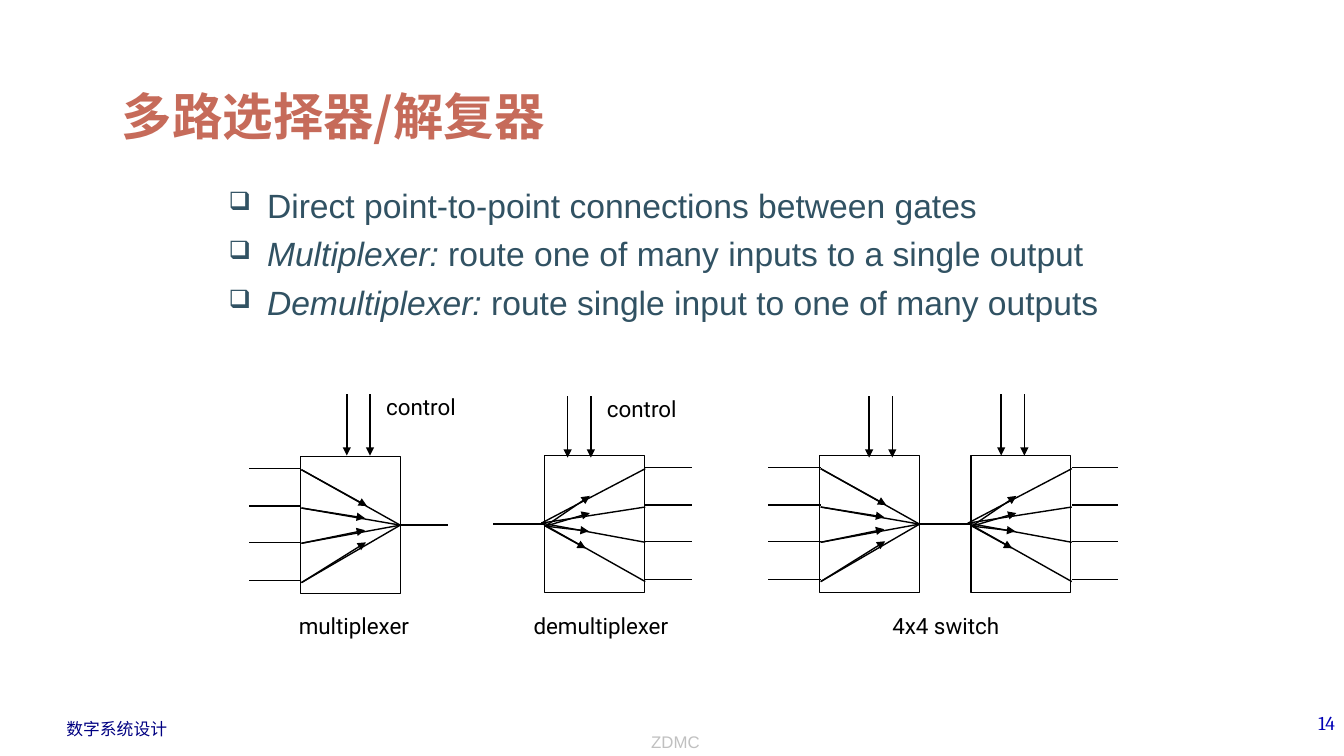
"""Build the slide on multiplexers and demultiplexers."""
import pptx
import pptx.dml.color
import pptx.enum.shapes
import pptx.enum.text
import pptx.oxml.ns
import pptx.oxml.xmlchemy
import pptx.util

Inches = pptx.util.Inches
Pt = pptx.util.Pt
RGB = pptx.dml.color.RGBColor.from_string
ALIGN = pptx.enum.text.PP_ALIGN
ANCHOR = pptx.enum.text.MSO_ANCHOR
qn = pptx.oxml.ns.qn
make = pptx.oxml.xmlchemy.OxmlElement
INK = {"title": "C66B5A", "body": "315263", "line": "000000",
       "foot": "000082", "page": "0000B6", "mark": "C0C0C0"}

deck = pptx.Presentation()
deck.slide_width = Inches(13.33)
deck.slide_height = Inches(7.5)
slide = deck.slides.add_slide(deck.slide_layouts[6])
shapes = slide.shapes


def write(text, place, size, face, ink, align=ALIGN.LEFT, wrap=True):
    """Add a text box with one paragraph and return its frame."""
    frame = shapes.add_textbox(*map(Inches, place)).text_frame
    frame.word_wrap = wrap
    para = frame.paragraphs[0]
    para.text = text
    para.alignment = align
    para.font.size = Pt(size)
    para.font.name = face
    para.font.color.rgb = RGB(INK[ink])
    return frame


def wire(x1, y1, x2, y2, arrow=False):
    """Add a thin straight line, with an arrowhead at its end if asked."""
    line = shapes.add_connector(pptx.enum.shapes.MSO_CONNECTOR.STRAIGHT,
                                *map(Inches, (x1, y1, x2, y2)))
    line.line.color.rgb = RGB(INK["line"])
    line.line.width = Pt(1)
    props = line._element.spPr
    if arrow:
        tip = make("a:tailEnd")
        tip.set("type", "triangle")
        props.find(qn("a:ln")).append(tip)
    props.append(make("a:effectLst"))
    return line


write("数字系统设计", (0.56, 7.08, 1.21, 0.3), 12, "Arial", "foot", wrap=False)
write("14", (10.56, 7, 2.78, 0.5), 14, "Cambria", "page", ALIGN.RIGHT)
mark = write("ZDMC", (3.45, 7, 6.5, 0.51), 12, "Arial", "mark", ALIGN.CENTER)
mark.vertical_anchor = ANCHOR.BOTTOM

title = write("多路选择器/解复器", (1.11, 0.42, 9.86, 1.07), 36,
              "Noto Sans CJK SC", "title")
title.vertical_anchor = ANCHOR.BOTTOM
head = title.paragraphs[0]
head.font.bold = True
east = make("a:ea")
east.set("typeface", "Noto Sans CJK SC")
head._p.pPr.find(qn("a:defRPr")).append(east)

points = [("", "Direct point-to-point connections between gates"),
          ("Multiplexer:", " route one of many inputs to a single output"),
          ("Demultiplexer:", " route single input to one of many outputs")]
body = shapes.add_textbox(*map(Inches, (2.17, 1.75, 9.22, 4.88))).text_frame
body.word_wrap = True
body.margin_top = Inches(0.08)
for i, (term, rest) in enumerate(points):
    para = body.paragraphs[0] if i == 0 else body.add_paragraph()
    if i:
        para.space_before = Pt(6)
    props = para._p.get_or_add_pPr()
    props.set("marL", str(Inches(0.38)))
    props.set("indent", str(-Inches(0.38)))
    tint = make("a:buClr")
    shade = make("a:srgbClr")
    shade.set("val", INK["body"])
    tint.append(shade)
    props.append(tint)
    for tag, key, val in [("a:buSzPct", "val", "75000"),
                          ("a:buChar", "char", "❑")]:
        item = make(tag)
        item.set(key, val)
        props.append(item)
    para.font.size = Pt(24)
    para.font.name = "Arial"
    para.font.color.rgb = RGB(INK["body"])
    if term:
        run = para.add_run()
        run.text = term
        run.font.italic = True
    para.add_run().text = rest

wide, high = 0.99, 1.36
ports = [0.12, 0.49, 0.85, 1.23]
fans = [0.13, 0.51, 0.86, 1.25]
merge = [(0.66, 0.49), (0.64, 0.61), (0.64, 0.73), (0.65, 0.85)]
split = [(0.45, 0.4), (0.45, 0.57), (0.44, 0.75), (0.41, 0.92)]
blocks = [("mux", 2.98, 4.53, 3.44, 3.91), ("demux", 5.4, 4.52, 5.63, 3.93),
          ("mux", 8.13, 4.52, 8.62, 3.93), ("demux", 9.63, 4.52, 9.93, 3.91)]
for kind, x, y, pin, top in blocks:
    box = shapes.add_shape(pptx.enum.shapes.MSO_SHAPE.RECTANGLE,
                           *map(Inches, (x, y, wide, high)))
    box.shadow.inherit = False
    box.fill.background()
    box.line.color.rgb = RGB(INK["line"])
    box.line.width = Pt(1)
    mid = y + high / 2
    if kind == "mux":
        wire(x + wide, mid, x + 1.46, mid).begin_connect(box, 3)
        for port, fan, (dx, dy) in zip(ports, fans, merge):
            wire(x + 0.01, y + port, x - 0.51, y + port)
            wire(x + 0.01, y + fan, x + dx, y + dy, True)
            wire(x + 0.01, y + fan, x + wide, mid).end_connect(box, 3)
    else:
        wire(x, mid, x - 0.51, mid).begin_connect(box, 1)
        for port, fan, (dx, dy) in zip(ports, fans, split):
            wire(x + 1, y + port, x + 1.46, y + port)
            wire(x + 1, y + fan, x - 0.03, y + 0.67)
            wire(x + 0.01, y + 0.7, x + dx, y + dy, True)
    for gap in (0, 0.23):
        wire(pin + gap, top, pin + gap, top + 0.61, True)

labels = [("multiplexer", 2.67, 6.01, 1.68), ("demultiplexer", 4.98, 6.01, 1.96),
          ("4x4 switch", 8.55, 6.01, 1.66),
          ("control", 3.55, 3.83, 1.25), ("control", 5.74, 3.85, 1.25)]
for text, x, y, w in labels:
    frame = write(text, (x, y, w, 0.47), 16, "Roboto", "line", ALIGN.CENTER, False)
    frame.margin_left = frame.margin_right = Inches(0.02)
    frame.margin_top = frame.margin_bottom = Inches(0.03)
    frame.paragraphs[0].line_spacing = Pt(21.8)

deck.save("out.pptx")
